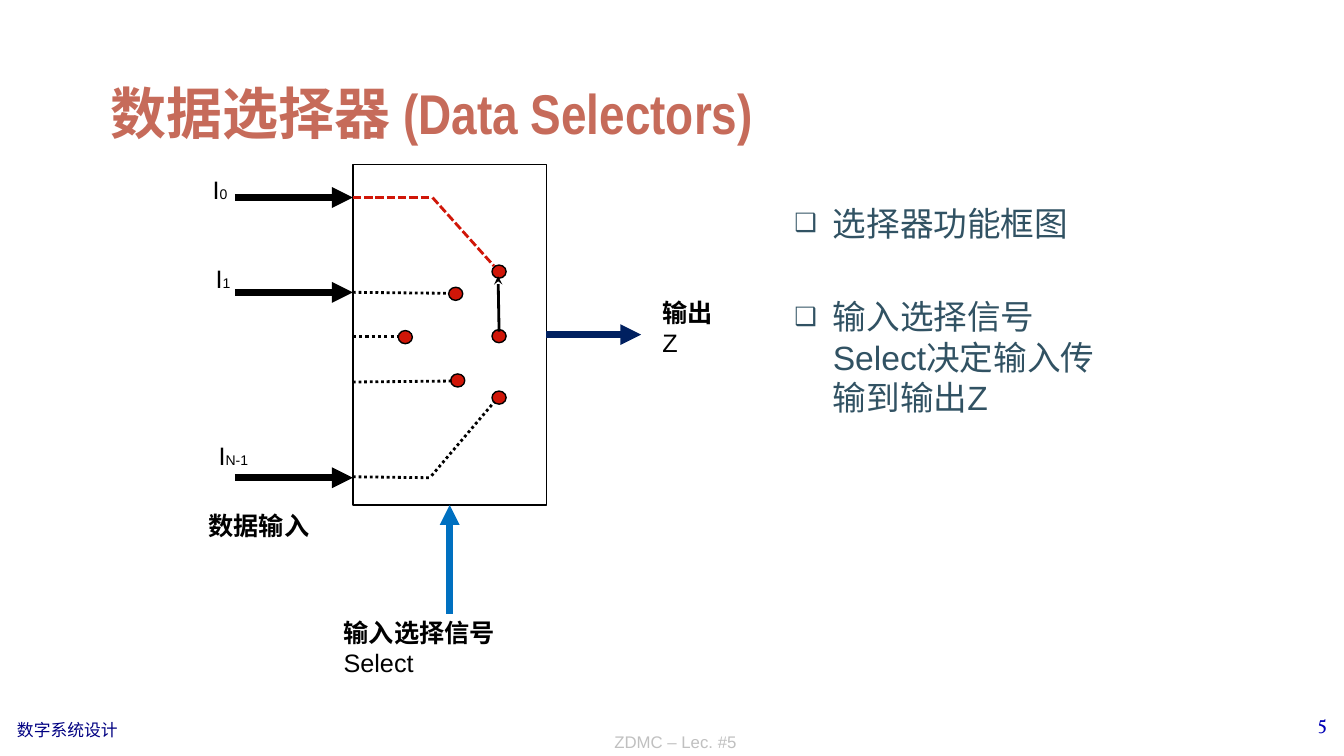
"""Build the data selector slide with its block diagram."""
from dataclasses import dataclass
from typing import Optional

import pptx
import pptx.dml.color
import pptx.enum.dml
import pptx.enum.shapes
import pptx.enum.text
import pptx.oxml.ns
import pptx.util
from lxml import etree

EMU_PER_PX = 9144
Align = pptx.enum.text.PP_ALIGN
Anchor = pptx.enum.text.MSO_ANCHOR
AutoSize = pptx.enum.text.MSO_AUTO_SIZE
Dash = pptx.enum.dml.MSO_LINE
Preset = pptx.enum.shapes.MSO_SHAPE
qn = pptx.oxml.ns.qn


@dataclass(frozen=True)
class Style:
    size: int
    color: str
    font: str = "Arial"
    bold: bool = False


@dataclass(frozen=True)
class Theme:
    cjk: str = "Noto Sans CJK SC"
    white: str = "FFFFFF"
    black: str = "000000"
    red: str = "D01608"
    output: str = "002060"
    select: str = "0070C0"
    title: Style = Style(40, "C66B5A", "Noto Sans CJK SC", True)
    title_latin: Style = Style(40, "C66B5A", "Arial Narrow", True)
    body: Style = Style(24, "315263")
    label: Style = Style(18, "000000")
    label_bold: Style = Style(18, "000000", "Noto Sans CJK SC", True)
    subscript: Style = Style(10, "000000")
    course: Style = Style(12, "000082")
    lecture: Style = Style(12, "C0C0C0")
    page: Style = Style(14, "0000B6", "Vollkorn")


THEME = Theme()


@dataclass(frozen=True)
class Span:
    text: str
    style: Style


@dataclass(frozen=True)
class Label:
    left: int
    top: int
    width: int
    height: int
    lines: list[list[Span]]
    align: Align = Align.LEFT
    anchor: Anchor = Anchor.TOP
    wrap: bool = False


@dataclass(frozen=True)
class Wire:
    start: tuple[int, int]
    end: tuple[int, int]
    color: str = THEME.black
    width: float = 2
    dash: Optional[Dash] = None
    head: Optional[str] = None
    start_site: Optional[int] = None
    end_site: Optional[int] = None


BOX_LEFT, BOX_TOP, BOX_WIDTH, BOX_HEIGHT = 350, 163, 192, 338
BOX_RIGHT, BOX_BOTTOM = BOX_LEFT + BOX_WIDTH, BOX_TOP + BOX_HEIGHT
BOX_MIDDLE = (BOX_LEFT + BOX_WIDTH // 2, BOX_TOP + BOX_HEIGHT // 2)
INPUT_LEFT = 233
INPUT_ROWS = [196, 290, 474]
CONTACT_SIZE = (14, 13)
CONTACTS = [(488, 327), (488, 263), (488, 388), (445, 285), (395, 328), (447, 371)]

WIRES = [
    *(Wire((INPUT_LEFT, y), (BOX_LEFT, y), width=5, head="triangle") for y in INPUT_ROWS),
    Wire((BOX_MIDDLE[0], 609), (BOX_MIDDLE[0], BOX_BOTTOM), THEME.select, 4.75,
         head="triangle", end_site=2),
    Wire((BOX_RIGHT, BOX_MIDDLE[1]), (636, BOX_MIDDLE[1]), THEME.output, 5,
         head="triangle", start_site=3),
]
CONTACT_WIRES = [
    Wire((BOX_LEFT, 196), (428, 196), THEME.red, dash=Dash.SQUARE_DOT),
    Wire((429, 196), (490, 264), THEME.red, dash=Dash.SQUARE_DOT),
    Wire((495, 329), (494, 274), head="stealth"),
    Wire((BOX_LEFT, 290), (445, 291), dash=Dash.ROUND_DOT),
    Wire((BOX_LEFT, 334), (395, 334), width=2.25, dash=Dash.ROUND_DOT),
    Wire((BOX_LEFT, 379), (449, 378), dash=Dash.ROUND_DOT),
    Wire((BOX_LEFT, 473), (428, 474), dash=Dash.ROUND_DOT),
    Wire((428, 472), (490, 399), dash=Dash.ROUND_DOT),
]


def indexed(index: str) -> list[list[Span]]:
    return [[Span("I", THEME.label), Span(index, THEME.subscript)]]


LABELS = [
    Label(201, 168, 35, 40, indexed("0")),
    Label(204, 256, 35, 40, indexed("1")),
    Label(207, 432, 50, 40, indexed("N-1")),
    Label(197, 501, 121, 40, [[Span("数据输入", THEME.label_bold)]]),
    Label(331, 607, 170, 71, [[Span("输入选择信号", THEME.label_bold)],
                              [Span("Select", THEME.label)]]),
    Label(647, 290, 71, 71, [[Span("输出", THEME.label_bold)], [Span("Z", THEME.label)]]),
    Label(7, 709, 121, 30, [[Span("数字系统设计", THEME.course)]]),
    Label(1048, 700, 278, 50, [[Span("5", THEME.page)]], Align.RIGHT, wrap=True),
    Label(345, 700, 650, 51, [[Span("ZDMC – Lec. #5", THEME.lecture)]],
          Align.CENTER, Anchor.BOTTOM, True),
]


def px(length: int) -> pptx.util.Emu:
    return pptx.util.Emu(length * EMU_PER_PX)


def rgb(color: str) -> pptx.dml.color.RGBColor:
    return pptx.dml.color.RGBColor.from_string(color)


def set_font(font, style: Style) -> None:
    font.name = style.font
    font.size = pptx.util.Pt(style.size)
    font.bold = style.bold
    font.color.rgb = rgb(style.color)


def write_line(paragraph, spans: list[Span], align: Align = Align.LEFT) -> None:
    paragraph.alignment = align
    main = spans[0].style
    set_font(paragraph.font, main)
    defaults = paragraph.font.fill and paragraph.runs == () and paragraph._p.pPr.find(qn("a:defRPr"))
    etree.SubElement(defaults, qn("a:ea"), typeface=THEME.cjk)
    for span in spans:
        run = paragraph.add_run()
        run.text = span.text
        if span.style != main:
            set_font(run.font, span.style)


def place(shape, left: int, top: int, width: int, height: int) -> None:
    shape.left, shape.top, shape.width, shape.height = map(px, (left, top, width, height))


def fill_title(title) -> None:
    place(title, 100, 25, 1133, 125)
    title.text_frame.auto_size = AutoSize.NONE
    title.text_frame.vertical_anchor = Anchor.BOTTOM
    write_line(title.text_frame.paragraphs[0],
               [Span("数据选择器", THEME.title), Span(" (Data Selectors)", THEME.title_latin)])


def fill_points(body) -> None:
    place(body, 778, 196, 340, 228)
    frame = body.text_frame
    frame.auto_size = AutoSize.NONE
    points = [("选择器功能框图", 0), ("输入选择信号Select决定输入传输到输出Z", 38)]
    for number, (text, gap) in enumerate(points):
        paragraph = frame.add_paragraph() if number else frame.paragraphs[0]
        paragraph.space_before = pptx.util.Pt(gap)
        properties = paragraph._p.get_or_add_pPr()
        properties.set("marL", str(px(38)))
        properties.set("indent", str(-px(38)))
        bullet_color = etree.SubElement(properties, qn("a:buClr"))
        etree.SubElement(bullet_color, qn("a:srgbClr"), val=THEME.body.color)
        etree.SubElement(properties, qn("a:buSzPct"), val="75000")
        etree.SubElement(properties, qn("a:buChar"), char="❑")
        write_line(paragraph, [Span(text, THEME.body)])


def draw_label(shapes, label: Label) -> None:
    textbox = shapes.add_textbox(*map(px, (label.left, label.top, label.width, label.height)))
    frame = textbox.text_frame
    frame.word_wrap = label.wrap
    frame.auto_size = AutoSize.NONE if label.wrap else AutoSize.SHAPE_TO_FIT_TEXT
    frame.vertical_anchor = label.anchor
    for number, spans in enumerate(label.lines):
        paragraph = frame.add_paragraph() if number else frame.paragraphs[0]
        write_line(paragraph, spans, label.align)


def draw_shape(shapes, preset: Preset, bounds: tuple[int, int, int, int], color: str):
    shape = shapes.add_shape(preset, *map(px, bounds))
    shape.shadow.inherit = False
    shape.fill.solid()
    shape.fill.fore_color.rgb = rgb(color)
    shape.line.color.rgb = rgb(THEME.black)
    shape.line.width = pptx.util.Pt(1)
    return shape


def draw_wire(shapes, wire: Wire, selector) -> None:
    connector = shapes.add_connector(pptx.enum.shapes.MSO_CONNECTOR.STRAIGHT,
                                     *map(px, wire.start + wire.end))
    connector.line.color.rgb = rgb(wire.color)
    connector.line.width = pptx.util.Pt(wire.width)
    if wire.dash is not None:
        connector.line.dash_style = wire.dash
    properties = connector.element.spPr
    if wire.head:
        etree.SubElement(properties.find(qn("a:ln")), qn("a:tailEnd"), type=wire.head)
    etree.SubElement(properties, qn("a:effectLst"))
    if wire.start_site is not None:
        connector.begin_connect(selector, wire.start_site)
    if wire.end_site is not None:
        connector.end_connect(selector, wire.end_site)


def main() -> None:
    deck = pptx.Presentation()
    deck.slide_width, deck.slide_height = px(1333), px(750)
    slide = deck.slides.add_slide(deck.slide_layouts[1])
    shapes = slide.shapes
    fill_title(shapes.title)
    fill_points(slide.placeholders[1])
    selector = draw_shape(shapes, Preset.RECTANGLE,
                          (BOX_LEFT, BOX_TOP, BOX_WIDTH, BOX_HEIGHT), THEME.white)
    for wire in WIRES:
        draw_wire(shapes, wire, selector)
    for contact in CONTACTS:
        draw_shape(shapes, Preset.OVAL, contact + CONTACT_SIZE, THEME.red)
    for wire in CONTACT_WIRES:
        draw_wire(shapes, wire, selector)
    for label in LABELS:
        draw_label(shapes, label)
    deck.save("out.pptx")


if __name__ == "__main__":
    main()
